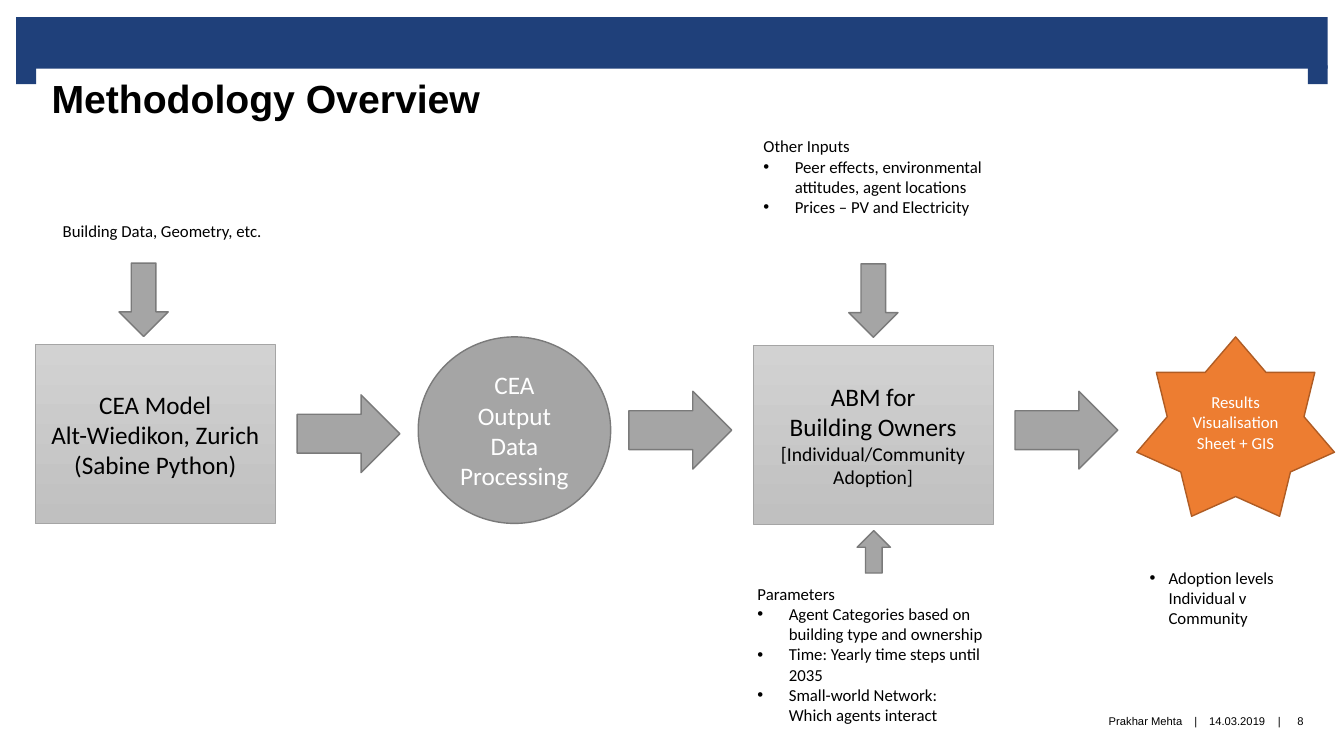
from lxml.etree import SubElement
from pptx import Presentation
from pptx.dml.color import RGBColor
from pptx.enum.shapes import MSO_SHAPE as Shape
from pptx.enum.text import MSO_ANCHOR as Anchor, PP_ALIGN as Align
from pptx.oxml.ns import qn
from pptx.util import Cm, Pt

NAVY = RGBColor(0x1F, 0x40, 0x7A)
BLACK = RGBColor(0, 0, 0)
WHITE = RGBColor(0xFF, 0xFF, 0xFF)
GRAY = RGBColor(0xA5, 0xA5, 0xA5)
DARK_GRAY = RGBColor(0x7A, 0x7A, 0x7A)
LIGHT_GRAY = RGBColor(0xD2, 0xD2, 0xD2)
MID_GRAY = RGBColor(0xC0, 0xC0, 0xC0)
ORANGE = RGBColor(0xED, 0x7D, 0x31)
RUST = RGBColor(0xAF, 0x5C, 0x24)

deck = Presentation()
deck.slide_width, deck.slide_height = Cm(33.87), Cm(19.05)
page = deck.slides.add_slide(deck.slide_layouts[6])


def draw(kind, place, fill, line=None, width=1):
    shape = page.shapes.add_shape(kind, *map(Cm, place))
    shape.shadow.inherit = False
    if fill is None:
        shape.fill.gradient()
        shape.fill.gradient_angle = 270
        for stop, color in zip(shape.fill.gradient_stops, (LIGHT_GRAY, MID_GRAY)):
            stop.color.rgb = color
    else:
        shape.fill.solid()
        shape.fill.fore_color.rgb = fill
    if line is None:
        shape.line.fill.background()
    else:
        shape.line.color.rgb = line
        shape.line.width = Pt(width)
    return shape


def write(box, lines, size, color=BLACK, font="Calibri", bold=False,
          align=Align.LEFT, anchor=Anchor.TOP, insets=(0.25, 0.13, 0.25, 0.13),
          indent=0.79):
    frame = box.text_frame
    sides = ("margin_left", "margin_top", "margin_right", "margin_bottom")
    layout = {"word_wrap": True, "vertical_anchor": anchor}
    layout.update(zip(sides, map(Cm, insets)))
    for name, value in layout.items():
        setattr(frame, name, value)
    for index, line in enumerate(lines):
        para = frame.add_paragraph() if index else frame.paragraphs[0]
        para.alignment = align
        if line.startswith("•"):
            props = para._p.get_or_add_pPr()
            props.set("marL", str(Cm(indent)))
            props.set("indent", str(-Cm(indent)))
            SubElement(props, qn("a:buFont")).set("typeface", "Arial")
            SubElement(props, qn("a:buChar")).set("char", "•")
        span = para.add_run()
        span.text = line.removeprefix("•")
        style = {"name": font, "size": Pt(size), "bold": bold}
        for name, value in style.items():
            setattr(span.font, name, value)
        span.font.color.rgb = color


for place in ((0.41, 0.43, 33.05, 1.3), (0.41, 1.65, 0.5, 0.47),
              (32.96, 1.65, 0.5, 0.47)):
    draw(Shape.RECTANGLE, place, NAVY)

title = page.shapes.add_textbox(Cm(0.89), Cm(1.73), Cm(32.05), Cm(2.69))
write(title, ["Methodology Overview"], 28, font="Arial", bold=True,
      insets=(0.41, 0.15, 0.41, 0))

for text, left, width, align in (
        ("Prakhar Mehta", 16.92, 12.88, Align.RIGHT),
        ("|", 29.95, 0.38, Align.CENTER),
        ("14.03.2019", 30.33, 1.7, Align.CENTER),
        ("|", 32.05, 0.38, Align.CENTER),
        ("8", 32.28, 0.99, Align.CENTER)):
    footer = page.shapes.add_textbox(Cm(left), Cm(17.52), Cm(width), Cm(1.3))
    write(footer, [text], 8, font="Arial", align=align, anchor=Anchor.MIDDLE,
          insets=(0, 0, 0, 0))

centered = {"align": Align.CENTER, "anchor": Anchor.MIDDLE}
for left, top, lines in (
        (0.89, 8.69, ["CEA Model", "Alt-Wiedikon, Zurich", "(Sabine Python)"]),
        (18.98, 8.7, ["ABM for", "Building Owners",
                      "[Individual/Community Adoption]"])):
    model = draw(Shape.RECTANGLE, (left, top, 6.05, 4.51), None, GRAY, 0.5)
    write(model, lines, 18, **centered)
model.text_frame.paragraphs[-1].runs[0].font.size = Pt(14)

processing = draw(Shape.OVAL, (10.54, 8.49, 4.85, 4.7), GRAY, DARK_GRAY)
write(processing, ["CEA Output Data Processing"], 18, WHITE,
      insets=(0.28, 0.13, 0.28, 0.13), **centered)
results = draw(Shape.STAR_7_POINT, (28.65, 8.49, 4.98, 4.52), ORANGE, RUST)
write(results, ["Results Visualisation", "Sheet + GIS"], 12, WHITE, **centered)

for left, top in ((7.49, 9.95), (15.85, 9.86), (25.58, 9.86)):
    draw(Shape.RIGHT_ARROW, (left, top, 2.59, 1.96), GRAY, DARK_GRAY)
for left, top in ((3, 6.63), (21.39, 6.65)):
    draw(Shape.DOWN_ARROW, (left, top, 1.24, 1.85), GRAY, DARK_GRAY)
parameter_arrow = draw(Shape.DOWN_ARROW, (21.6, 13.37, 0.84, 1.07), GRAY, DARK_GRAY)
parameter_arrow.rotation = 180

for place, indent, lines in (
        ((1.33, 5.44, 6.2, 0.76), 0, ["Building Data, Geometry, etc."]),
        ((18.99, 3.3, 6.2, 2.82), 0.79,
         ["Other Inputs",
          "•Peer effects, environmental attitudes, agent locations",
          "•Prices – PV and Electricity"]),
        ((18.84, 14.58, 6.2, 3.84), 0.79,
         ["Parameters",
          "•Agent Categories based on building type and ownership",
          "•Time: Yearly time steps until 2035",
          "•Small-world Network: Which agents interact"]),
        ((28.72, 14.17, 4.83, 3.33), 0.48,
         ["•Adoption levels Individual v Community"])):
    note = page.shapes.add_textbox(*map(Cm, place))
    write(note, lines, 12, indent=indent)

deck.save("out.pptx")
